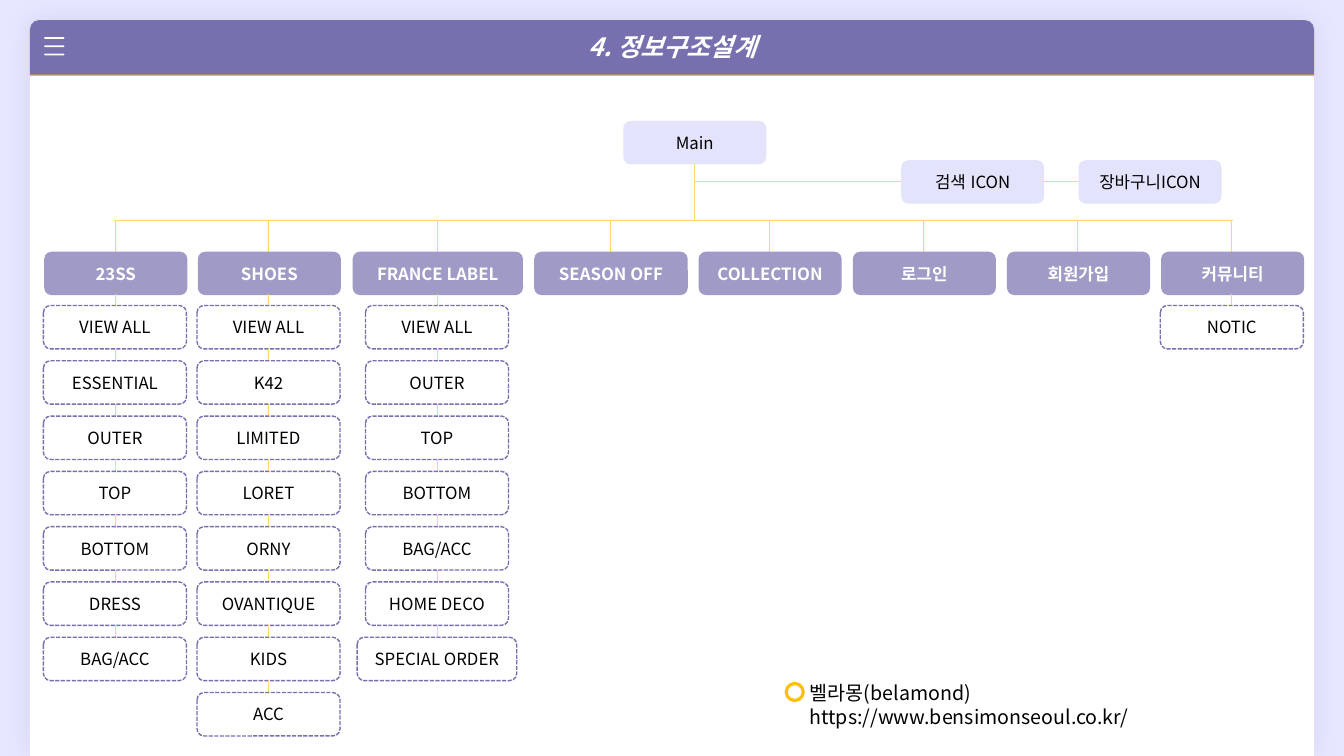
from pptx import Presentation
from pptx.dml.color import RGBColor
from pptx.enum.dml import MSO_LINE_DASH_STYLE as DASH
from pptx.enum.lang import MSO_LANGUAGE_ID as LANGUAGE
from pptx.enum.shapes import MSO_CONNECTOR as CONNECTOR, MSO_SHAPE as SHAPE
from pptx.enum.text import MSO_ANCHOR as ANCHOR, PP_ALIGN as ALIGN
from pptx.oxml.ns import qn
from pptx.util import Pt
from lxml.etree import SubElement

PURPLE, LILAC, PALE = "7670AE", "9F9BC6", "E3E3FC"
WHITE, BLACK, GOLD, YELLOW = "FFFFFF", "000000", "FFC000", "FFDA6A"
BOX_WIDTH, BOX_HEIGHT = 102.2, 31
RAIL_TOP, MENU_TOP, SUBMENU_TOP, SUBMENU_STEP = 157.3, 179.8, 218.2, 39.5
LINK_LENGTH = 8.5

MENUS = [
    ("23SS", 31.6, BOX_WIDTH,
     ["VIEW ALL", "ESSENTIAL", "OUTER", "TOP", "BOTTOM", "DRESS", "BAG/ACC"]),
    ("SHOES", 141.3, BOX_WIDTH,
     ["VIEW ALL", "K42", "LIMITED", "LORET", "ORNY", "OVANTIQUE", "KIDS", "ACC"]),
    ("FRANCE LABEL", 251.9, 121.7,
     ["VIEW ALL", "OUTER", "TOP", "BOTTOM", "BAG/ACC", "HOME DECO", "SPECIAL ORDER"]),
    ("SEASON OFF", 381.6, 109.7, []),
    ("COLLECTION", 499, BOX_WIDTH, []),
    ("로그인", 609.2, BOX_WIDTH, []),
    ("회원가입", 719.3, BOX_WIDTH, []),
    ("커뮤니티", 829.4, BOX_WIDTH, ["NOTIC"]),
]


def rgb(hex_color):
    return RGBColor.from_string(hex_color)


def write(frame, text, size=12, color=BLACK, bold=False, italic=False,
          align=ALIGN.CENTER, anchor=ANCHOR.MIDDLE, wrap=True, spacing=None):
    frame.word_wrap = wrap
    frame.vertical_anchor = anchor
    paragraph = frame.paragraphs[0]
    paragraph.alignment = align
    if spacing:
        paragraph.line_spacing = Pt(spacing)
    run = paragraph.add_run()
    run.text = text
    font = run.font
    font.size, font.bold, font.italic = Pt(size), bold, italic
    font.language_id = LANGUAGE.KOREAN
    font.color.rgb = rgb(color)
    font.name = "Noto Sans CJK KR"
    SubElement(font._element, qn("a:ea"), typeface=font.name)


class SiteMap:
    def __init__(self, slide):
        self.slide = slide
        background = slide.background.fill
        background.solid()
        background.fore_color.rgb = rgb("E7E7FF")

    def shape(self, kind, left, top, width, height, fill=None, line=None,
              weight=1, dash=None, corners=()):
        shape = self.slide.shapes.add_shape(kind, Pt(left), Pt(top), Pt(width), Pt(height))
        for index, corner in enumerate(corners):
            shape.adjustments[index] = corner
        if fill:
            shape.fill.solid()
            shape.fill.fore_color.rgb = rgb(fill)
        else:
            shape.fill.background()
        if line:
            shape.line.color.rgb = rgb(line)
            shape.line.width = Pt(weight)
            if dash:
                shape.line.dash_style = dash
        else:
            shape.line.fill.background()
        shape.shadow.inherit = False
        return shape

    def glow(self, shape, color, opacity, blur=0, distance=0, angle=0):
        effects = shape.element.spPr.find(qn("a:effectLst"))
        shadow = SubElement(effects, qn("a:outerShdw"), blurRad=str(Pt(blur)),
                            dist=str(Pt(distance)), dir=str(angle * 60000),
                            algn="ctr", rotWithShape="0")
        tint = SubElement(shadow, qn("a:srgbClr"), val=color)
        SubElement(tint, qn("a:alpha"), val=str(opacity * 1000))

    def box(self, label, left, top, width=BOX_WIDTH, color=BLACK, bold=False, **style):
        box = self.shape(SHAPE.ROUNDED_RECTANGLE, left, top, width, BOX_HEIGHT, **style)
        write(box.text_frame, label, color=color, bold=bold)

    def line(self, x1, y1, x2, y2):
        line = self.slide.shapes.add_connector(
            CONNECTOR.STRAIGHT, Pt(x1), Pt(y1), Pt(x2), Pt(y2))
        line.line.color.rgb = rgb(YELLOW)
        line.line.width = Pt(0.5)
        SubElement(line.element.spPr, qn("a:effectLst"))

    def text(self, text, left, top, width, height, **style):
        box = self.slide.shapes.add_textbox(Pt(left), Pt(top), Pt(width), Pt(height))
        write(box.text_frame, text, **style)

    def frame(self):
        panel = self.shape(SHAPE.ROUND_2_SAME_RECTANGLE, 21.4, 14.4, 917.2, 525.6,
                           fill=WHITE, corners=(0.016, 0))
        self.glow(panel, PURPLE, 14, blur=18)
        header = self.shape(SHAPE.ROUND_2_SAME_RECTANGLE, 21.4, 14.4, 917.2, 38.9, fill=PURPLE)
        self.glow(header, GOLD, 100, distance=1, angle=90)
        for row in range(3):
            self.shape(SHAPE.ROUNDED_RECTANGLE, 31.6, 26.5 + 5.9 * row, 14.4, 1.3,
                       fill=WHITE, corners=(0.5,))
        self.text("4. 정보구조설계", 407.5, 18.7, 145.4, 28.8, size=18, color=WHITE,
                  bold=True, italic=True, wrap=False)

    def menu(self, label, left, width, submenus):
        axis = left + width / 2 - 0.6
        self.line(axis, RAIL_TOP, axis, MENU_TOP)
        self.box(label, left, MENU_TOP, width, color=WHITE, bold=True, fill=LILAC)
        for row, submenu in enumerate(submenus):
            top = SUBMENU_TOP + SUBMENU_STEP * row
            submenu_width = 114 if len(submenu) > 12 else BOX_WIDTH
            self.line(axis, top - LINK_LENGTH, axis, top)
            self.box(submenu, axis - submenu_width / 2, top, submenu_width,
                     line=PURPLE, dash=DASH.SQUARE_DOT)


def main():
    deck = Presentation()
    deck.slide_width, deck.slide_height = Pt(960), Pt(540)
    site = SiteMap(deck.slides.add_slide(deck.slide_layouts[6]))
    site.frame()

    site.line(496.1, 117, 496.1, RAIL_TOP)
    site.line(81.4, RAIL_TOP, 880.6, RAIL_TOP)
    site.line(496.1, 129.6, 643.7, 129.6)
    site.line(745, 129.6, 770.4, 129.6)
    site.box("Main", 445.2, 86.4, fill=PALE)
    site.box("검색 ICON", 643.7, 114.5, fill=PALE)
    site.box("장바구니ICON", 770.4, 114.5, fill=PALE)
    for menu in MENUS:
        site.menu(*menu)

    site.text("벨라몽(belamond) https://www.bensimonseoul.co.kr/", 571.3, 482.4, 350.6, 24.5,
              size=14, align=ALIGN.LEFT, anchor=ANCHOR.TOP, spacing=17.1)
    site.shape(SHAPE.OVAL, 561.6, 488.2, 12.2, 12.2, line=GOLD, weight=2.25)
    deck.save("out.pptx")


if __name__ == "__main__":
    main()
